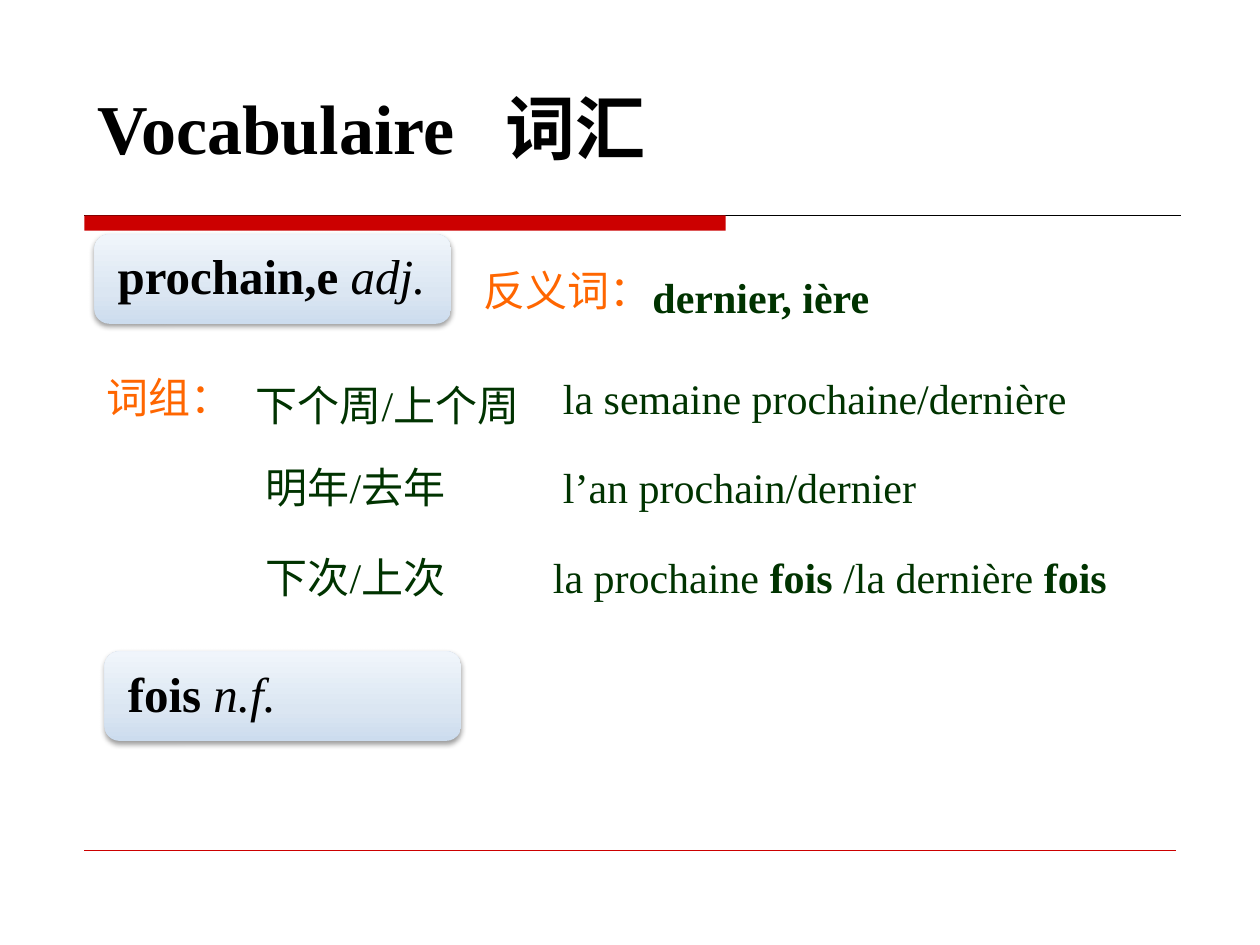
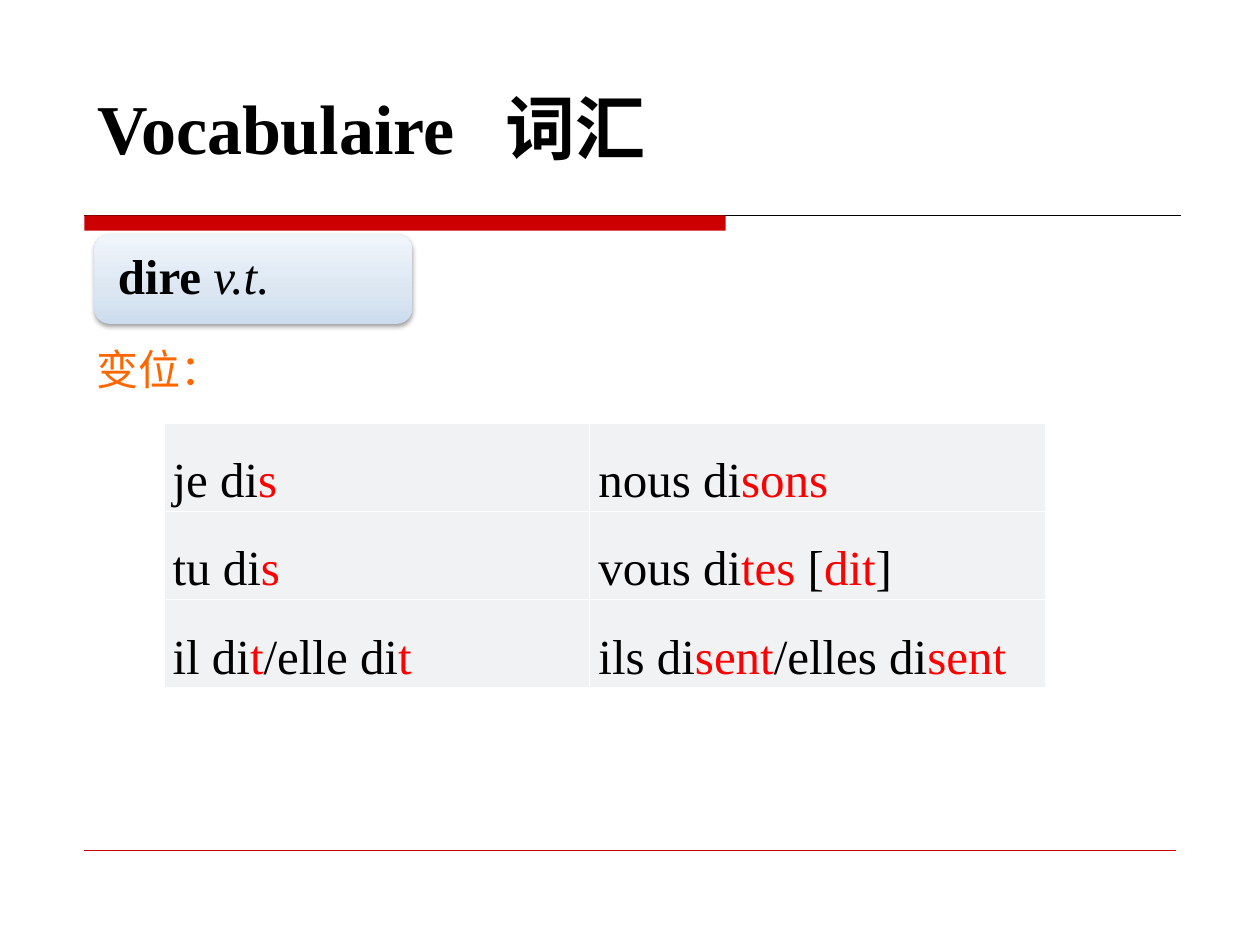
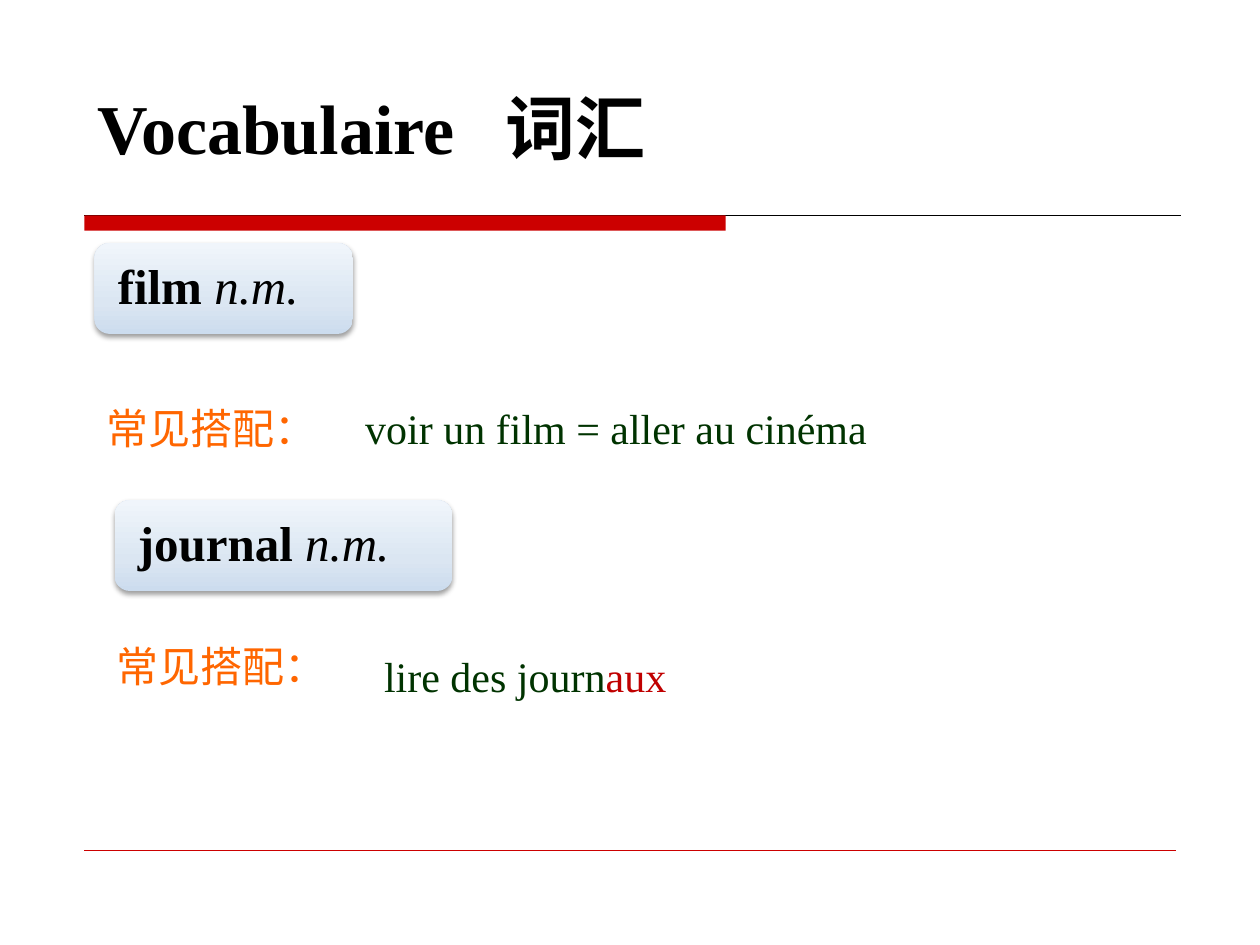
from copy import deepcopy

from lxml.etree import SubElement
from pptx import Presentation
from pptx.dml.color import RGBColor
from pptx.enum.shapes import MSO_CONNECTOR as Connector, MSO_SHAPE as Shape
from pptx.enum.text import MSO_ANCHOR as Anchor, MSO_AUTO_SIZE as AutoSize, PP_ALIGN as Align
from pptx.oxml.ns import qn
from pptx.util import Inches, Pt

COLORS = {
    "ink": "000000", "band": "CC0000", "label": "FF6600", "phrase": "003300",
    "ending": "FF0000", "plural": "C00000", "cell": "F0F2F4", "border": "FFFFFF",
    "card_low": "CCDCEE", "card_mid": "DBE6F2", "card_high": "F0F5FB",
}
LATIN, CHINESE = "Times New Roman", "Noto Sans CJK SC"


def color(name):
    return RGBColor.from_string(COLORS[name])


def write(para, text, size=24, tone="phrase", font=LATIN, bold=False, italic=False):
    """Add one formatted run to a paragraph."""
    span = para.add_run()
    span.text = text
    span.font.size, span.font.name = Pt(size), font
    span.font.bold, span.font.italic = bold, italic
    span.font.color.rgb = color(tone)
    SubElement(span.font._element, qn("a:ea"), typeface=CHINESE)


def set_frame(frame, left=0.1, top=0.04, right=0, bottom=0, anchor=Anchor.MIDDLE):
    frame.word_wrap, frame.auto_size = True, AutoSize.NONE
    frame.vertical_anchor = anchor
    frame.margin_left, frame.margin_top = Inches(left), Inches(top)
    frame.margin_right, frame.margin_bottom = Inches(right), Inches(bottom)


def add_text(page, box, spans, spacing=None, **style):
    """Place a line of (text, overrides) spans; exact spacing hangs from the top."""
    frame = page.shapes.add_textbox(*map(Inches, box)).text_frame
    if spacing:
        set_frame(frame, top=0.05, anchor=Anchor.TOP)
        frame.paragraphs[0].line_spacing = Pt(spacing)
    else:
        set_frame(frame)
    for text, extra in spans:
        write(frame.paragraphs[0], text, **{**style, **extra})


def add_phrase(page, box, text, **style):
    add_text(page, box, [(text, {})], **style)


def add_label(page, box, text):
    add_phrase(page, box, text, tone="label", font=CHINESE)


def add_rule(page, left, right, y, tone, width):
    rule = page.shapes.add_connector(
        Connector.STRAIGHT, Inches(left), Inches(y), Inches(right), Inches(y))
    rule.line.color.rgb, rule.line.width = color(tone), Pt(width)
    SubElement(rule._element.spPr, qn("a:effectLst"))


def add_page(deck):
    """Start a slide with the shared title, band and rules."""
    page = deck.slides.add_slide(deck.slide_layouts[5])
    # Band and rules
    add_rule(page, 0.67, 9.37, 1.71, "ink", 0.75)
    band = page.shapes.add_shape(Shape.RECTANGLE, *map(Inches, (0.67, 1.71, 5.09, 0.12)))
    band.shadow.inherit = False
    band.fill.solid()
    band.fill.fore_color.rgb = color("band")
    band.line.fill.background()
    add_rule(page, 0.67, 9.33, 6.75, "band", 0.25)
    # Title, with a tab stop before its Chinese half
    title = page.shapes.title
    title.left, title.top, title.width, title.height = map(Inches, (0.67, 0.6, 7.8, 0.77))
    set_frame(title.text_frame)
    para = title.text_frame.paragraphs[0]
    para.alignment = Align.LEFT
    tabs = SubElement(para._p.get_or_add_pPr(), qn("a:tabLst"))
    SubElement(tabs, qn("a:tab"), pos=str(Inches(3.24)), algn="l")
    write(para, "Vocabulaire\t词汇", size=40, tone="ink", bold=True)
    return page


def add_word_card(page, box, word, category):
    card = page.shapes.add_shape(Shape.ROUNDED_RECTANGLE, *map(Inches, box))
    card.line.fill.background()
    # Three-stop gradient, darkest at the bottom
    card.fill.gradient()
    card.fill.gradient_angle = 90
    first = card.fill.gradient_stops[0]._gs
    first.addnext(deepcopy(first))
    stops = zip(card.fill.gradient_stops, ("card_low", "card_mid", "card_high"), (0, 0.35, 1))
    for stop, tone, position in stops:
        stop.color.rgb, stop.position = color(tone), position
    # Soft shadow below
    card.shadow.inherit = False
    effects = card._element.spPr.find(qn("a:effectLst"))
    shadow = SubElement(effects, qn("a:outerShdw"), blurRad=str(Pt(3.1)),
                        dist=str(Pt(1.6)), dir="5400000", rotWithShape="0")
    black = SubElement(shadow, qn("a:srgbClr"), val=COLORS["ink"])
    SubElement(black, qn("a:alpha"), val="38000")
    # Word and its category
    set_frame(card.text_frame, 0.15, 0.12, 0.15, 0.12)
    para = card.text_frame.paragraphs[0]
    para.alignment, para.line_spacing = Align.LEFT, 0.9
    write(para, word + " ", size=28, tone="ink", bold=True)
    write(para, category, size=28, tone="ink", italic=True)


def set_borders(cell):
    props = cell._tc.get_or_add_tcPr()
    for index, side in enumerate(("lnL", "lnR", "lnT", "lnB")):
        line = props.makeelement(qn("a:" + side), {"w": str(Pt(1))})
        props.insert(index, line)
        fill = SubElement(line, qn("a:solidFill"))
        SubElement(fill, qn("a:srgbClr"), val=COLORS["border"])


def add_conjugation(page, box, widths, rows):
    """Fill a table whose cells alternate stem and red ending."""
    table = page.shapes.add_table(len(rows), len(widths), *map(Inches, box)).table
    table.first_row = table.horz_banding = False
    for column, width in zip(table.columns, widths):
        column.width = Inches(width)
    for row_index, row in enumerate(rows):
        for column_index, parts in enumerate(row):
            cell = table.cell(row_index, column_index)
            cell.fill.solid()
            cell.fill.fore_color.rgb = color("cell")
            set_borders(cell)
            cell.vertical_anchor = Anchor.MIDDLE
            cell.margin_left = cell.margin_right = Inches(0.07)
            cell.margin_top = cell.margin_bottom = 0
            para = cell.text_frame.paragraphs[0]
            para.alignment, para.line_spacing = Align.JUSTIFY, 1.5
            for index, text in enumerate(parts):
                write(para, text, size=28, tone="ending" if index % 2 else "ink")


def build_prochain(deck):
    page = add_page(deck)
    add_word_card(page, (0.75, 1.86, 2.83, 0.71), "prochain,e", "adj.")
    add_label(page, (3.74, 2.02, 1.73, 0.51), "反义词：")
    add_phrase(page, (5.08, 2.02, 2.28, 0.55), "dernier, ière", spacing=35, bold=True)
    # Phrases in two columns
    add_label(page, (0.75, 2.88, 1.57, 0.5), "词组：")
    strong = {"bold": True}
    phrases = [
        (1.93, "下个周/上个周", 35, 4.37, [("la semaine prochaine/dernière", {})]),
        (2.01, "明年/去年", None, 4.37, [("l’an prochain/dernier", {})]),
        (2.01, "下次/上次", None, 4.29, [("la prochaine ", {}), ("fois", strong),
                                     (" /la dernière ", {}), ("fois", strong)]),
    ]
    for index, (left, chinese, spacing, french_left, french) in enumerate(phrases):
        top = 2.88 + index * 0.71
        add_phrase(page, (left, top, 2.6, 0.51), chinese, spacing=spacing)
        add_text(page, (french_left, top, 4.64, 0.51), french)
    add_word_card(page, (0.83, 5.17, 2.83, 0.71), "fois", "n.f.")


def build_dire(deck):
    page = add_page(deck)
    add_word_card(page, (0.75, 1.86, 2.52, 0.71), "dire", "v.t.")
    add_label(page, (0.67, 2.65, 1.97, 0.51), "变位：")
    add_conjugation(page, (1.3, 3.36, 7, 2.1), (3.38, 3.62), [
        [("je di", "s"), ("nous di", "sons")],
        [("tu di", "s"), ("vous di", "tes", " [", "dit", "]")],
        [("il di", "t", "/elle di", "t"), ("ils di", "sent", "/elles di", "sent")],
    ])


def build_film(deck):
    page = add_page(deck)
    add_word_card(page, (0.75, 1.93, 2.05, 0.72), "film", "n.m.")
    add_label(page, (0.75, 3.12, 2.05, 0.51), "常见搭配：")
    add_phrase(page, (2.8, 3.12, 6.22, 0.51), "voir un film = aller au cinéma")
    add_word_card(page, (0.91, 3.97, 2.68, 0.72), "journal", "n.m.")
    add_label(page, (0.83, 5.01, 2.05, 0.51), "常见搭配：")
    add_text(page, (2.95, 5.09, 6.22, 0.51),
             [("lire des journ", {}), ("aux", {"tone": "plural"})])


def main():
    deck = Presentation()
    deck.slide_width, deck.slide_height = Inches(10), Inches(7.5)
    for build in (build_prochain, build_dire, build_film):
        build(deck)
    deck.save("out.pptx")


if __name__ == "__main__":
    main()
